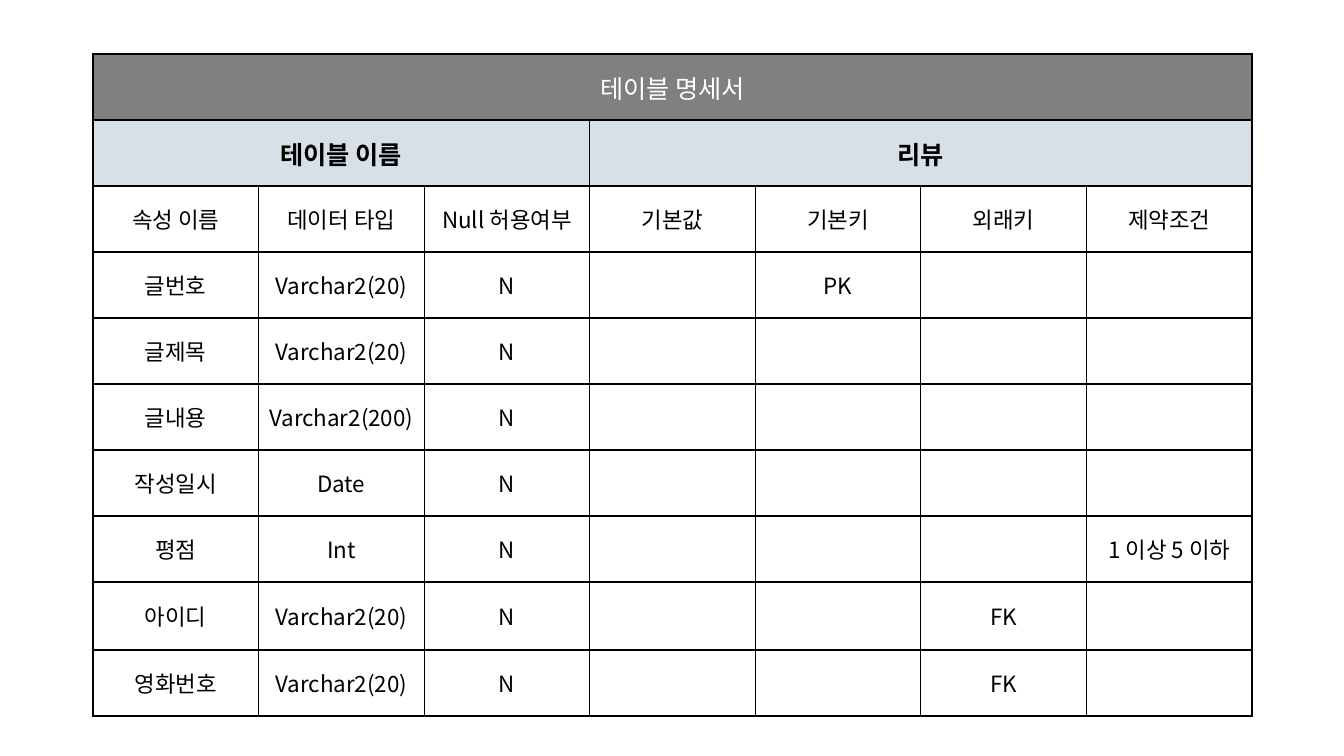
from pptx import Presentation, util as u
from pptx.dml.color import RGBColor
from pptx.enum import text
from pptx.oxml import parse_xml
from pptx.oxml.ns import nsdecls

PX = 914400 / 100.8
FONT = "Noto Sans CJK KR"
COLUMNS = 7


def px(n):
    return u.Emu(round(n * PX))


def color(value):
    return RGBColor.from_string(value)


prs = Presentation()
prs.slide_width, prs.slide_height = px(1344), px(756)
slide = prs.slides.add_slide(prs.slide_layouts[6])

# Content: two heading bands, column names, then one row per attribute
rows = [
    ["테이블 명세서"],
    ["테이블 이름", "", "", "리뷰"],
    ["속성 이름", "데이터 타입", "Null 허용여부", "기본값", "기본키", "외래키", "제약조건"],
    ["글번호", "Varchar2(20)", "N", "", "PK"],
    ["글제목", "Varchar2(20)", "N"],
    ["글내용", "Varchar2(200)", "N"],
    ["작성일시", "Date", "N"],
    ["평점", "Int", "N", "", "", "", "1 이상 5 이하"],
    ["아이디", "Varchar2(20)", "N", "", "", "FK"],
    ["영화번호", "Varchar2(20)", "N", "", "", "FK"],
]
# Fill, text colour, size and weight of the bands and of the body
title_style = ("808080", "FFFFFF", 18, False)
name_style = ("D6E0E6", "000000", 18, True)
body_style = ("FFFFFF", "000000", 16, False)
styles = [title_style, name_style] + [body_style] * (len(rows) - 2)

# Table grid
spec_table = slide.shapes.add_table(
    len(rows), COLUMNS, px(93), px(54), px(1159), px(662)).table
for column in spec_table.columns:
    column.width = px(1159 / COLUMNS)
for index, row in enumerate(spec_table.rows):
    row.height = px(68 if index == 8 else 66)

# Cells: text, fill and borders
for r, (values, style) in enumerate(zip(rows, styles)):
    fill, ink, size, bold = style
    for c in range(COLUMNS):
        cell = spec_table.cell(r, c)
        cell.vertical_anchor = text.MSO_ANCHOR.MIDDLE
        cell.margin_left = cell.margin_right = px(6)
        for side in ("L", "R", "T", "B"):
            cell._tc.get_or_add_tcPr().append(parse_xml(
                f'<a:ln{side} {nsdecls("a")} w="12700"><a:solidFill>'
                f'<a:srgbClr val="000000"/></a:solidFill></a:ln{side}>'))
        cell.fill.solid()
        cell.fill.fore_color.rgb = color(fill)
        if c < len(values) and values[c]:
            cell.text = values[c]
            paragraph = cell.text_frame.paragraphs[0]
            paragraph.alignment = text.PP_ALIGN.CENTER
            font = paragraph.font
            font.name, font.size, font.bold = FONT, u.Pt(size), bold
            font.color.rgb = color(ink)
            font._element.find("{*}latin").addnext(
                parse_xml(f'<a:ea {nsdecls("a")} typeface="{FONT}"/>'))

# Merged heading bands
for r, first, last in [(0, 0, 6), (1, 0, 2), (1, 3, 6)]:
    spec_table.cell(r, first).merge(spec_table.cell(r, last))

prs.save("out.pptx")
